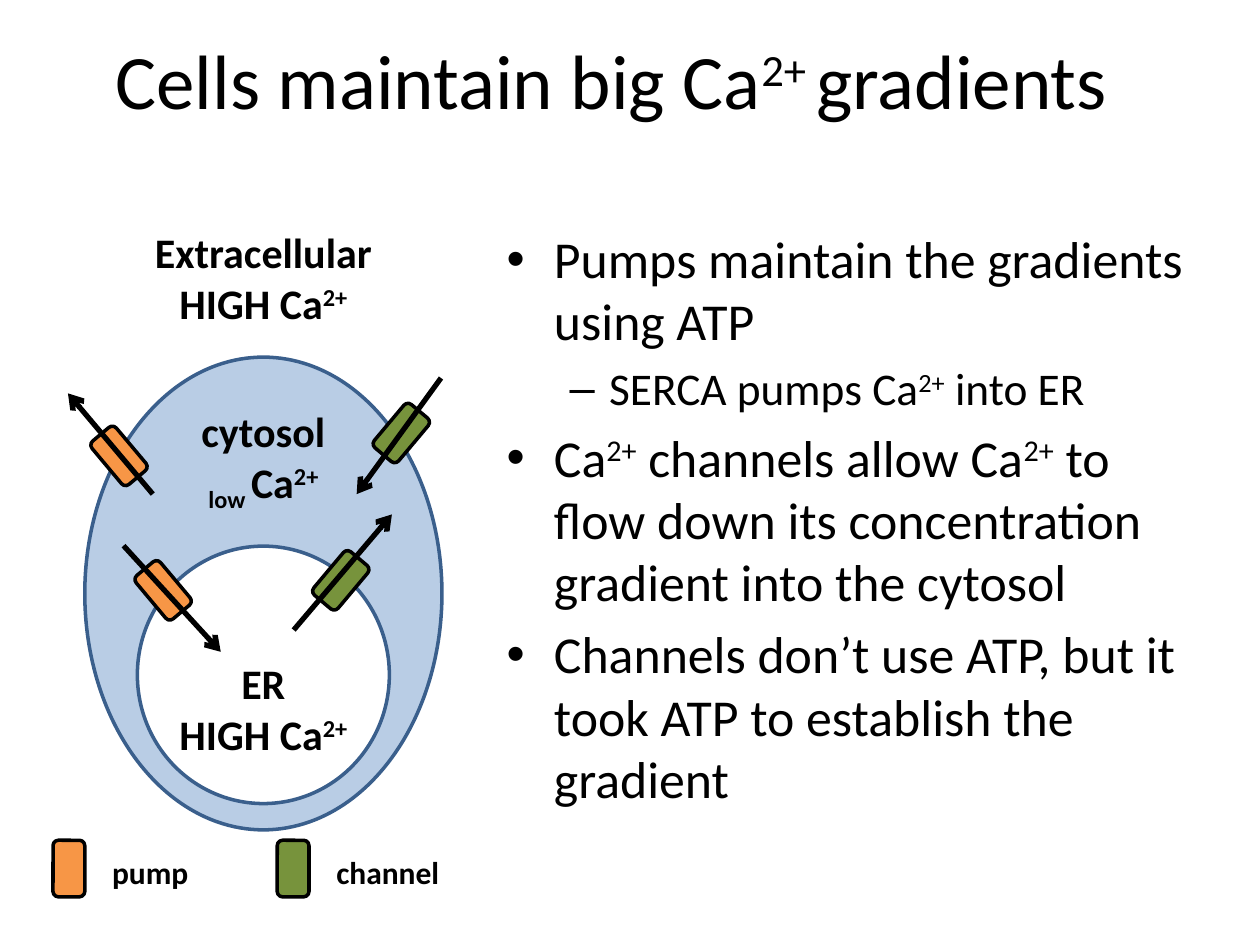
from lxml.etree import SubElement
from pptx import Presentation
from pptx.dml.color import RGBColor
from pptx.enum.shapes import MSO_CONNECTOR, MSO_SHAPE
from pptx.enum.text import MSO_ANCHOR, MSO_AUTO_SIZE, PP_ALIGN
from pptx.oxml.ns import qn
from pptx.util import Cm, Pt

BLACK = RGBColor(0x00, 0x00, 0x00)
WHITE = RGBColor(0xFF, 0xFF, 0xFF)
CYTOSOL = RGBColor(0xB9, 0xCD, 0xE5)
MEMBRANE = RGBColor(0x3A, 0x5F, 0x8C)
PUMP = RGBColor(0xF7, 0x96, 0x46)
CHANNEL = RGBColor(0x77, 0x93, 0x3C)

TITLE = {"name": "Calibri", "size": Pt(44)}
BULLET = {"name": "Calibri", "size": Pt(29.6)}
SUB_BULLET = {"name": "Calibri", "size": Pt(25.9)}
LABEL = {"name": "Calibri", "size": Pt(24), "bold": True}
KEY = {"name": "Calibri", "size": Pt(18), "bold": True}

ION = [("Ca", 0), ("2+", 30)]
HIGH_ION = [("HIGH Ca", 0), ("2+", 30)]
BODY_WIDTH, BODY_HEIGHT = 0.64, 1.14


def add_runs(p, runs, style):
    """Add (text, baseline percent) runs to a paragraph in one style."""
    for text, baseline in runs:
        r = p.add_run()
        r.text = text
        for name, value in style.items():
            setattr(r.font, name, value)
        r.font.color.rgb = BLACK
        if baseline:
            r._r.get_or_add_rPr().set("baseline", str(baseline * 1000))


def place(sp, box):
    """Move a shape to a box given in centimetres."""
    for name, value in zip(("left", "top", "width", "height"), box):
        setattr(sp, name, Cm(value))


def add_text(s, box, lines, style, align=PP_ALIGN.CENTER, wrap=True):
    """Add a text box with one paragraph per line."""
    tf = s.shapes.add_textbox(*map(Cm, box)).text_frame
    tf.word_wrap = wrap
    for i, runs in enumerate(lines):
        p = tf.paragraphs[0] if i == 0 else tf.add_paragraph()
        p.alignment = align
        add_runs(p, runs, style)


def add_body(s, kind, box, fill, line, rotation=0):
    """Add a filled and outlined preset shape."""
    sp = s.shapes.add_shape(kind, *map(Cm, box))
    sp.shadow.inherit = False
    sp.fill.solid()
    sp.fill.fore_color.rgb = fill
    sp.line.color.rgb = line
    sp.line.width = Pt(2)
    sp.rotation = rotation


def add_arrow(s, start, end):
    """Add a black arrow between two points."""
    cxn = s.shapes.add_connector(MSO_CONNECTOR.STRAIGHT, *map(Cm, start + end))
    cxn.line.color.rgb = BLACK
    cxn.line.width = Pt(3)
    SubElement(cxn.line._get_or_add_ln(), qn("a:tailEnd"), type="arrow")
    SubElement(cxn._element.spPr, qn("a:effectLst"))


def add_title(s, box):
    """Fill the title placeholder."""
    title = s.shapes.title
    place(title, box)
    tf = title.text_frame
    tf.vertical_anchor = MSO_ANCHOR.MIDDLE
    p = tf.paragraphs[0]
    p.alignment = PP_ALIGN.CENTER
    add_runs(p, [("Cells maintain big Ca", 0), ("2+ ", 30), ("gradients ", 0)], TITLE)


def add_bullets(s, box):
    """Fill the body placeholder with the two-level list."""
    body = s.placeholders[1]
    place(body, box)
    tf = body.text_frame
    tf.auto_size = MSO_AUTO_SIZE.NONE
    items = [
        (0, [("Pumps maintain the gradients using ATP", 0)]),
        (1, [("SERCA pumps Ca", 0), ("2+", 30), (" into ER", 0)]),
        (0, ION + [(" channels allow Ca", 0), ("2+", 30),
                   (" to flow down its concentration gradient into the cytosol", 0)]),
        (0, [("Channels don’t use ATP, but it took ATP to establish the gradient", 0)]),
    ]
    for i, (level, runs) in enumerate(items):
        p = tf.paragraphs[0] if i == 0 else tf.add_paragraph()
        p.level = level
        add_runs(p, runs, SUB_BULLET if level else BULLET)
    tf.paragraphs[0].space_before = Pt(0)


def add_cell(s, box):
    """Draw the cell, its labels and its transporters inside a box."""
    left, top, width, _ = box
    axis = left + width / 2
    for w, y, h, fill in [(7.2, 2.75, 9.53, CYTOSOL), (5.08, 6.56, 5.19, WHITE)]:
        add_body(s, MSO_SHAPE.OVAL, (axis - w / 2, top + y, w, h), fill, MEMBRANE)

    labels = [
        (4.45, 8.69, [[("ER", 0)], HIGH_ION]),
        (4.45, 3.61, [[("cytosol", 0)], [("low ", -25)] + ION]),
        (5.61, 0, [[("Extracellular", 0)], HIGH_ION]),
    ]
    for w, y, lines in labels:
        add_text(s, (axis - w / 2, top + y, w, 2.31), lines, LABEL)

    transporters = [
        (CHANNEL, 40, (7.02, 4.28), (7.82, 3.17), (6.12, 5.51)),
        (CHANNEL, 40, (5.8, 7.25), (4.85, 8.25), (6.83, 5.92)),
        (PUMP, -40, (2.22, 7.45), (1.42, 6.55), (3.38, 8.69)),
        (PUMP, -40, (1.33, 4.74), (2.01, 5.51), (0.3, 3.48)),
    ]
    for fill, rotation, *points in transporters:
        (x, y), start, end = [(left + px, top + py) for px, py in points]
        body = (x - BODY_WIDTH / 2, y - BODY_HEIGHT / 2, BODY_WIDTH, BODY_HEIGHT)
        add_body(s, MSO_SHAPE.ROUNDED_RECTANGLE, body, fill, BLACK, rotation)
        add_arrow(s, start, end)


def add_legend(s, box):
    """Draw the colour key from the left of a box."""
    left, top, width, _ = box
    for i, (name, fill, w) in enumerate([("pump", PUMP, 2.06), ("channel", CHANNEL, 2.59)]):
        x = left + i * width / 2
        add_body(s, MSO_SHAPE.ROUNDED_RECTANGLE,
                 (x, top, BODY_WIDTH, BODY_HEIGHT), fill, BLACK)
        add_text(s, (x + 0.94, top + 0.13, w, 1.02), [[(name, 0)]], KEY,
                 PP_ALIGN.LEFT, False)


def main():
    """Build the slide and save it."""
    prs = Presentation()
    prs.slide_width, prs.slide_height = Cm(25.4), Cm(19.05)
    s = prs.slides.add_slide(prs.slide_layouts[1])
    add_title(s, (1.07, 0, 22.86, 3.18))
    add_bullets(s, (9.96, 4.45, 14.17, 12.57))
    add_cell(s, (1.07, 4.45, 8.48, 12.28))
    add_legend(s, (1.07, 16.94, 9.04, 1.15))
    prs.save("out.pptx")


if __name__ == "__main__":
    main()
